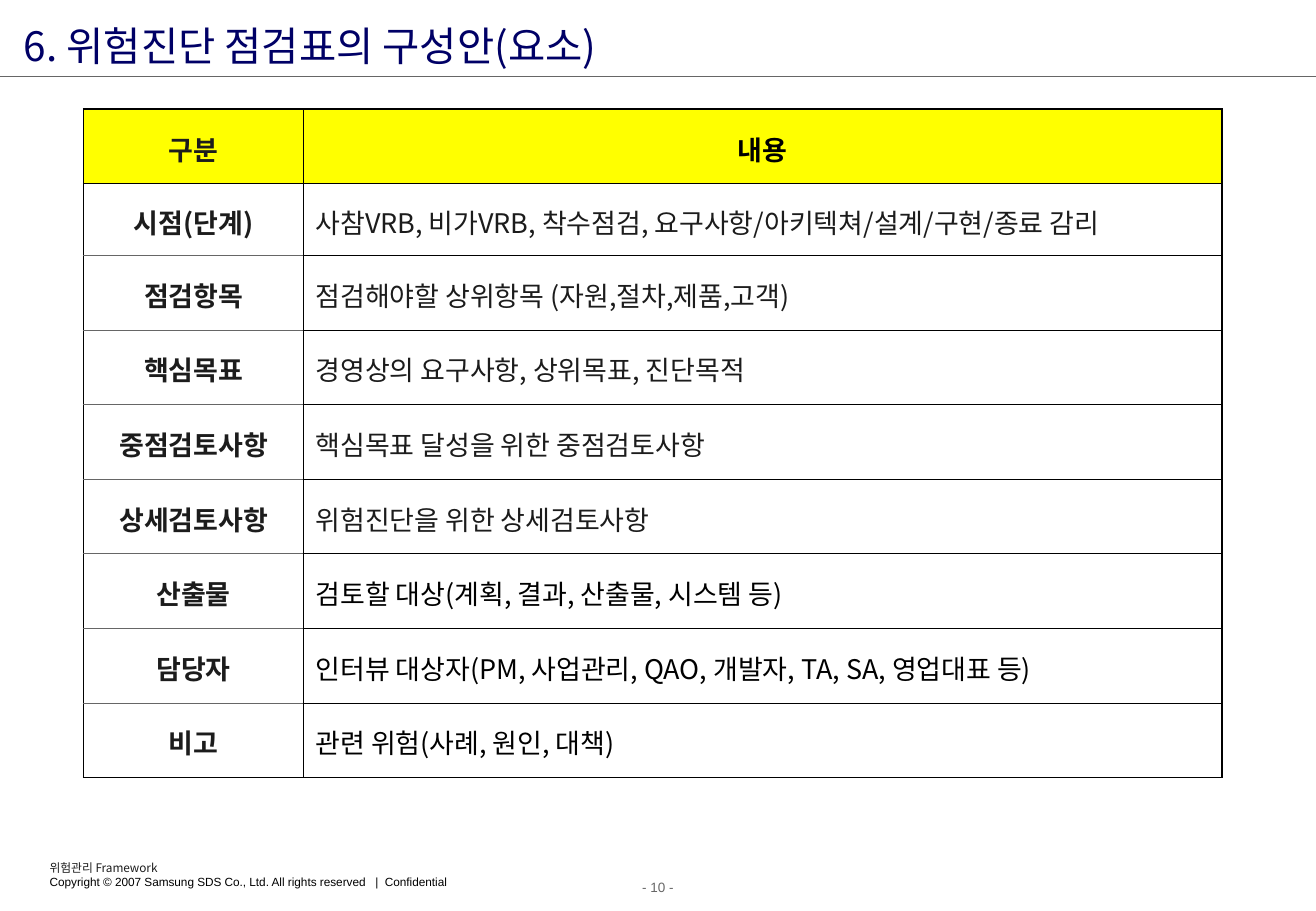
import pptx
import pptx.dml.color
import pptx.enum.shapes
import pptx.enum.text
import pptx.oxml.ns
import pptx.util
from lxml import etree
from pptx.util import Cm

KOREAN_FONT = "Noto Sans CJK KR"
ALIGN = pptx.enum.text.PP_ALIGN
ANCHOR = pptx.enum.text.MSO_ANCHOR
qn = pptx.oxml.ns.qn


def color(value):
    return pptx.dml.color.RGBColor.from_string(value)


def style(paragraph, size, text_color, name=KOREAN_FONT, bold=False, align=ALIGN.LEFT):
    paragraph.alignment = align
    font = paragraph.font
    font.size = pptx.util.Pt(size)
    font.color.rgb = color(text_color)
    font.name = name
    font.bold = bold
    defaults = paragraph._p.pPr.find(qn("a:defRPr"))
    latin = defaults.find(qn("a:latin"))
    latin.addnext(latin.makeelement(qn("a:ea"), {"typeface": name}))


presentation = pptx.Presentation()
presentation.slide_width = Cm(27.53)
presentation.slide_height = Cm(19.05)
slide = presentation.slides.add_slide(presentation.slide_layouts[5])

title = slide.shapes.title
title.left, title.top, title.width, title.height = Cm(0.4), Cm(0.33), Cm(20.14), Cm(1.12)
title_frame = title.text_frame
title_frame.text = "6. 위험진단 점검표의 구성안(요소)"
title_frame.vertical_anchor = ANCHOR.TOP
title_frame.auto_size = pptx.enum.text.MSO_AUTO_SIZE.SHAPE_TO_FIT_TEXT
title_frame.margin_left = title_frame.margin_right = Cm(0.1)
title_frame.margin_top = title_frame.margin_bottom = 0
title_frame.paragraphs[0].line_spacing = 1.1
title_frame.paragraphs[0].space_before = 0
style(title_frame.paragraphs[0], 24, "000066")

title_rule = slide.shapes.add_connector(
    pptx.enum.shapes.MSO_CONNECTOR.STRAIGHT, 0, Cm(1.6), Cm(27.53), Cm(1.6))
title_rule.line.color.rgb = color("666666")
title_rule.line.width = pptx.util.Pt(0.75)
etree.SubElement(title_rule._element.spPr, qn("a:effectLst"))

rows = [
    ("구분", "내용", "000000"),
    ("시점(단계)", "사참VRB, 비가VRB, 착수점검, 요구사항/아키텍쳐/설계/구현/종료 감리", "1C1C1C"),
    ("점검항목", "점검해야할 상위항목 (자원,절차,제품,고객)", "1C1C1C"),
    ("핵심목표", "경영상의 요구사항, 상위목표, 진단목적", "1C1C1C"),
    ("중점검토사항", "핵심목표 달성을 위한 중점검토사항", "1C1C1C"),
    ("상세검토사항", "위험진단을 위한 상세검토사항", "1C1C1C"),
    ("산출물", "검토할 대상(계획, 결과, 산출물, 시스템 등)", "000000"),
    ("담당자", "인터뷰 대상자(PM, 사업관리, QAO, 개발자, TA, SA, 영업대표 등)", "000000"),
    ("비고", "관련 위험(사례, 원인, 대책)", "000000"),
]
last_row = len(rows) - 1
table = slide.shapes.add_table(
    len(rows), 2, Cm(1.75), Cm(2.28), Cm(23.81), Cm(13.98)).table
table.columns[0].width = Cm(4.6)
table.columns[1].width = Cm(19.21)

for row_index, (label, content, content_color) in enumerate(rows):
    table.rows[row_index].height = Cm(1.5 if row_index == 1 else 1.56)
    is_header = row_index == 0
    for column_index, text in enumerate((label, content)):
        is_label = column_index == 0
        cell = table.cell(row_index, column_index)
        cell.text = text
        cell.vertical_anchor = ANCHOR.MIDDLE
        paragraph = cell.text_frame.paragraphs[0]
        paragraph.line_spacing = 1.1
        style(paragraph, 16, "1C1C1C" if is_label else content_color,
              bold=is_header or is_label,
              align=ALIGN.CENTER if is_header or is_label else ALIGN.LEFT)

        thick = ("000000", 1.08)
        thin = ("666666" if is_label else "000000", 0.45)
        borders = {
            "a:lnL": thick,
            "a:lnR": thick,
            "a:lnT": thick if row_index <= 1 else thin,
            "a:lnB": thick if row_index in (0, last_row) else thin,
        }
        for tag, (border_color, width) in borders.items():
            border = etree.SubElement(
                cell._tc.get_or_add_tcPr(), qn(tag), w=str(int(pptx.util.Pt(width))))
            border_fill = etree.SubElement(border, qn("a:solidFill"))
            etree.SubElement(border_fill, qn("a:srgbClr"), val=border_color)

        if is_label and not is_header:
            cell.fill.background()
        else:
            cell.fill.solid()
            cell.fill.fore_color.rgb = color("FFFF00" if is_header else "FFFFFF")

footer = slide.shapes.add_textbox(Cm(0.79), Cm(17.88), Cm(10.57), Cm(0.86)).text_frame
footer.word_wrap = True
footer.text = ("위험관리 Framework\n"
               "Copyright © 2007 Samsung SDS Co., Ltd. All rights reserved   |  Confidential")
style(footer.paragraphs[0], 7, "1C1C1C")
style(footer.paragraphs[1], 7, "000000", name="Arial")

page_number = slide.shapes.add_textbox(0, Cm(18.26), Cm(27.53), Cm(0.61)).text_frame
page_number.word_wrap = True
page_number.text = "- 10 -"
style(page_number.paragraphs[0], 8, "666666", name="Arial", align=ALIGN.CENTER)

presentation.save("out.pptx")
